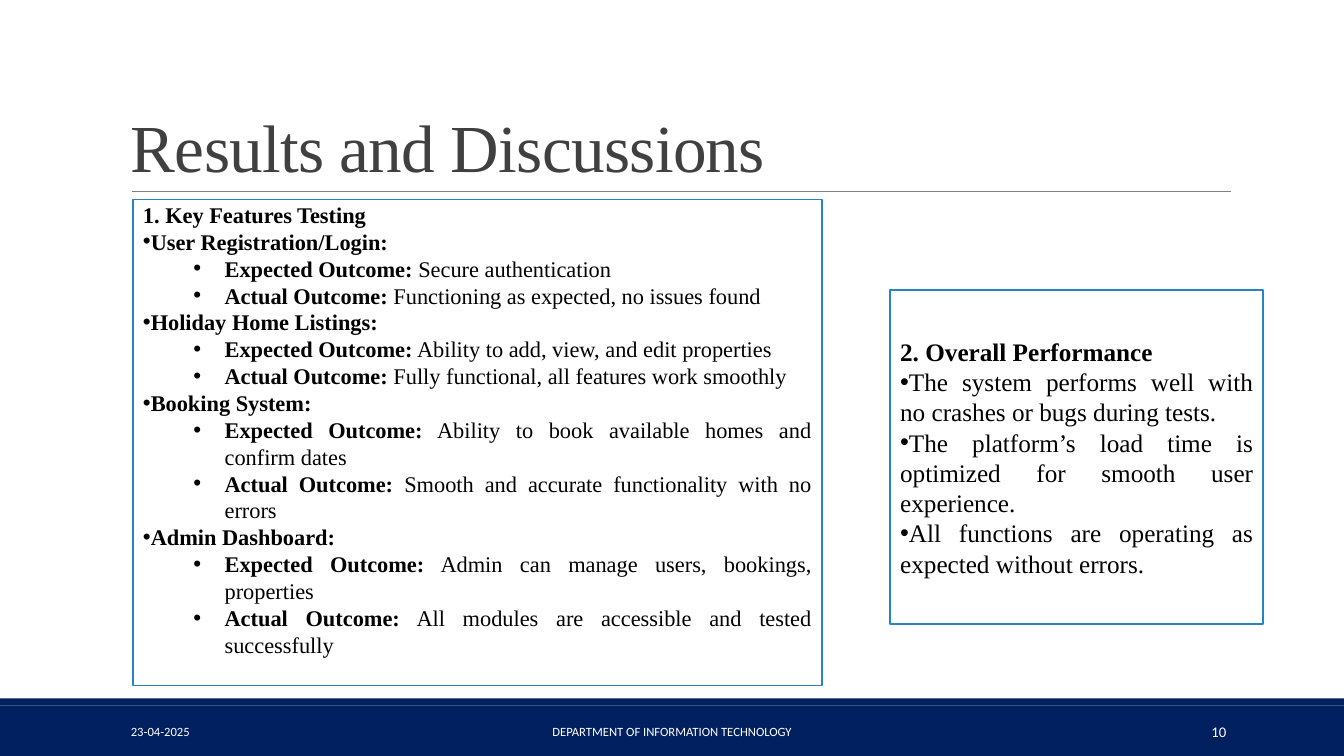
from dataclasses import dataclass

from lxml import etree
from pptx import Presentation
from pptx.dml.color import RGBColor
from pptx.enum.shapes import MSO_CONNECTOR, MSO_SHAPE
from pptx.enum.text import MSO_ANCHOR, PP_ALIGN
from pptx.oxml.ns import qn
from pptx.util import Inches, Pt

RECTANGLE = MSO_SHAPE.RECTANGLE
STRAIGHT = MSO_CONNECTOR.STRAIGHT
MIDDLE, BOTTOM = MSO_ANCHOR.MIDDLE, MSO_ANCHOR.BOTTOM
LEFT, CENTER, RIGHT, JUSTIFY = PP_ALIGN.LEFT, PP_ALIGN.CENTER, PP_ALIGN.RIGHT, PP_ALIGN.JUSTIFY


@dataclass(frozen=True)
class Theme:
    navy: str = "002060"
    blue: str = "2683C6"
    gray: str = "808080"
    heading: str = "404040"
    white: str = "FFFFFF"
    black: str = "000000"
    serif: str = "Times New Roman"
    sans: str = "Calibri"
    title_size: float = 48
    features_size: float = 16
    performance_size: float = 18
    footer_size: float = 9
    number_size: float = 10.5


def color(value):
    return RGBColor.from_string(value)


def add_span(para, text, *, size, font, ink, bold=False, spacing=None):
    """Add one formatted run; spacing is in points."""
    span = para.add_run()
    span.text = text
    span.font.size = Pt(size)
    span.font.name = font
    span.font.bold = bold
    span.font.color.rgb = color(ink)
    if spacing is not None:
        span.font._element.set("spc", str(int(spacing * 100)))


def set_bullet(para, margin=0, indent=0):
    properties = para._p.get_or_add_pPr()
    properties.set("marL", str(Inches(margin)))
    properties.set("indent", str(Inches(indent)))
    etree.SubElement(properties, qn("a:buFont"), typeface="Arial")
    etree.SubElement(properties, qn("a:buChar"), char="•")


class Page:
    def __init__(self, deck, theme):
        self.theme = theme
        self.shapes = deck.slides.add_slide(deck.slide_layouts[6]).shapes

    def box(self, left, top, width, height, fill, line=None):
        box = self.shapes.add_shape(RECTANGLE, *map(Inches, (left, top, width, height)))
        box.shadow.inherit = False
        box.fill.solid()
        box.fill.fore_color.rgb = color(fill)
        if line:
            box.line.color.rgb = color(line)
            box.line.width = Pt(1.25)
        else:
            box.line.fill.background()
        return box

    def rule(self, left, right, top):
        rule = self.shapes.add_connector(STRAIGHT, *map(Inches, (left, top, right, top)))
        rule.line.color.rgb = color(self.theme.gray)
        rule.line.width = Pt(0.5)
        etree.SubElement(rule._element.spPr, qn("a:effectLst"))

    def label(self, left, top, width, height, text, *, align=LEFT, anchor=MIDDLE,
              line_spacing=None, **style):
        label = self.shapes.add_textbox(*map(Inches, (left, top, width, height)))
        frame = label.text_frame
        frame.word_wrap = True
        frame.vertical_anchor = anchor
        para = frame.paragraphs[0]
        para.alignment = align
        para.line_spacing = line_spacing
        add_span(para, text, **style)

    def panel(self, left, top, width, height, heading, items, size, insets=(0.05, 0.05)):
        """Items are (level, bold text, plain text)."""
        box = self.box(left, top, width, height, self.theme.white, self.theme.blue)
        frame = box.text_frame
        frame.word_wrap = True
        frame.vertical_anchor = MIDDLE
        frame.margin_top, frame.margin_bottom = map(Inches, insets)
        style = dict(size=size, font=self.theme.serif, ink=self.theme.black)
        para = frame.paragraphs[0]
        para.alignment = JUSTIFY
        add_span(para, heading, bold=True, **style)
        for level, strong, plain in items:
            para = frame.add_paragraph()
            para.alignment = JUSTIFY
            para.level = level
            if level:
                set_bullet(para, 0.81, -0.31)
            else:
                set_bullet(para)
            if strong:
                add_span(para, strong, bold=True, **style)
            if plain:
                add_span(para, plain, **style)


FEATURES = [
    ("User Registration/Login:", "Secure authentication",
     "Functioning as expected, no issues found"),
    ("Holiday Home Listings:", "Ability to add, view, and edit properties",
     "Fully functional, all features work smoothly"),
    ("Booking System:", "Ability to book available homes and confirm dates",
     "Smooth and accurate functionality with no errors"),
    ("Admin Dashboard:", "Admin can manage users, bookings, properties",
     "All modules are accessible and tested successfully"),
]
PERFORMANCE = [
    "The system performs well with no crashes or bugs during tests.",
    "The platform’s load time is optimized for smooth user experience.",
    "All functions are operating as expected without errors.",
]


def main():
    deck = Presentation()
    deck.slide_width, deck.slide_height = Inches(13.33), Inches(7.5)
    theme = Theme()
    page = Page(deck, theme)

    # Footer bands and title rule
    page.box(0, 7, 13.33, 0.5, theme.navy)
    page.box(0, 6.93, 13.33, 0.07, theme.navy)
    page.rule(1.31, 12.21, 1.9)

    # Title
    page.label(1.2, 0.31, 11, 1.59, "Results and Discussions", anchor=BOTTOM,
               line_spacing=0.85, size=theme.title_size, font=theme.serif,
               ink=theme.heading, spacing=-0.5)

    # Footer text
    for left, width, text, align, size in [
        (1.2, 2.7, "23-04-2025", LEFT, theme.footer_size),
        (4.03, 5.27, "DEPARTMENT OF INFORMATION TECHNOLOGY", CENTER, theme.footer_size),
        (10.83, 1.43, "10", RIGHT, theme.number_size),
    ]:
        page.label(left, 7.06, width, 0.4, text, align=align, size=size,
                   font=theme.sans, ink=theme.white)

    # Feature tests
    feature_items = []
    for feature, expected, actual in FEATURES:
        feature_items += [(0, feature, ""),
                          (1, "Expected Outcome:", " " + expected),
                          (1, "Actual Outcome:", " " + actual)]
    page.panel(1.32, 1.98, 6.83, 4.82, "1. Key Features Testing", feature_items,
               theme.features_size, insets=(0.02, 0.28))

    # Overall performance
    page.panel(8.83, 2.88, 3.7, 3.31, "2. Overall Performance",
               [(0, "", text) for text in PERFORMANCE], theme.performance_size)

    deck.save("out.pptx")


if __name__ == "__main__":
    main()
